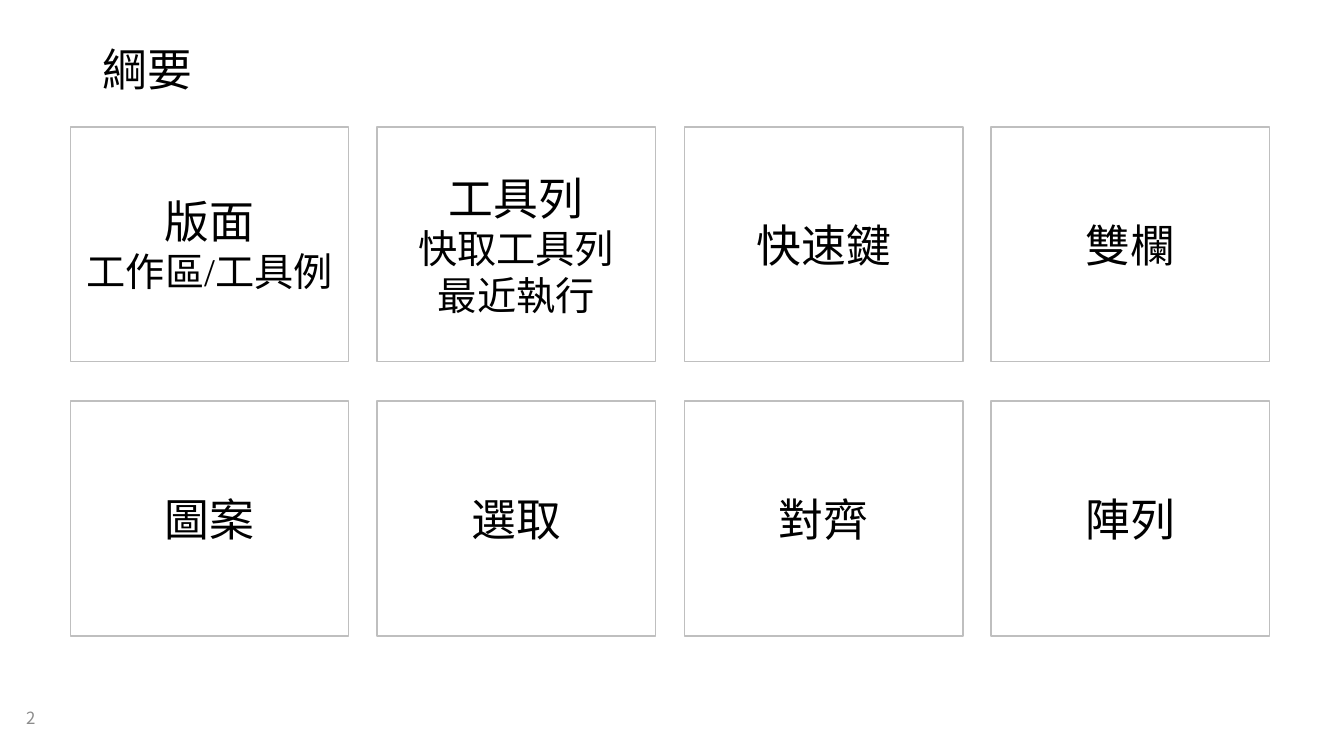
import pptx
import pptx.util
import pptx.dml.color
import pptx.enum.shapes
import pptx.enum.text
from lxml import etree
from pptx.oxml.ns import qn
from pptx.util import Inches, Pt

SANS, SERIF = "Noto Sans CJK SC", "Times New Roman"
ALIGN = pptx.enum.text.PP_ALIGN

TITLE = "綱要"
NUMBER = "2"
TOPICS = [
    [["版面", "工作區/工具例"], ["工具列", "快取工具列", "最近執行"], ["快速鍵"], ["雙欄"]],
    [["圖案"], ["選取"], ["對齊"], ["陣列"]],
]
LEFT, TOP = 0.7, 1.26
WIDTH, HEIGHT = 2.76, 2.33
STEP_X, STEP_Y = 3.043, 2.72


def color(code):
    return pptx.dml.color.RGBColor.from_string(code)


def write(shape, lines, face, ink="000000", align=ALIGN.LEFT, space=None):
    """Fill a shape with (text, size) lines, centred vertically."""
    frame = shape.text_frame
    frame.word_wrap = True
    frame.vertical_anchor = pptx.enum.text.MSO_ANCHOR.MIDDLE
    for i, (text, size) in enumerate(lines):
        para = frame.add_paragraph() if i else frame.paragraphs[0]
        para.alignment = align
        para.line_spacing = space
        run = para.add_run()
        run.text = text
        run.font.size = Pt(size)
        run.font.color.rgb = color(ink)
        run.font.name = face
        east = etree.SubElement(run.font._element, qn("a:ea"))
        east.set("typeface", SANS)


def add_card(slide, left, top, lines):
    card = slide.shapes.add_shape(
        pptx.enum.shapes.MSO_SHAPE.RECTANGLE,
        Inches(left), Inches(top), Inches(WIDTH), Inches(HEIGHT))
    card.shadow.inherit = False
    card.fill.solid()
    card.fill.fore_color.rgb = color("FFFFFF")
    card.line.color.rgb = color("BFBFBF")
    card.line.width = Pt(1)
    sized = [(text, 28 if i else 32) for i, text in enumerate(lines)]
    write(card, sized, SERIF, align=ALIGN.CENTER)


def main():
    deck = pptx.Presentation()
    deck.slide_width, deck.slide_height = Inches(13.33), Inches(7.5)
    slide = deck.slides.add_slide(deck.slide_layouts[6])

    title = slide.shapes.add_textbox(
        Inches(0.92), Inches(0.4), Inches(11.5), Inches(0.62))
    write(title, [(TITLE, 32)], SANS, space=0.9)
    number = slide.shapes.add_textbox(
        Inches(0.16), Inches(6.93), Inches(0.67), Inches(0.39))
    write(number, [(NUMBER, 12)], SANS, ink="8C8C8C")

    for r, row in enumerate(TOPICS):
        for c, lines in enumerate(row):
            add_card(slide, round(LEFT + c * STEP_X, 2), TOP + r * STEP_Y, lines)

    deck.save("out.pptx")


if __name__ == "__main__":
    main()
